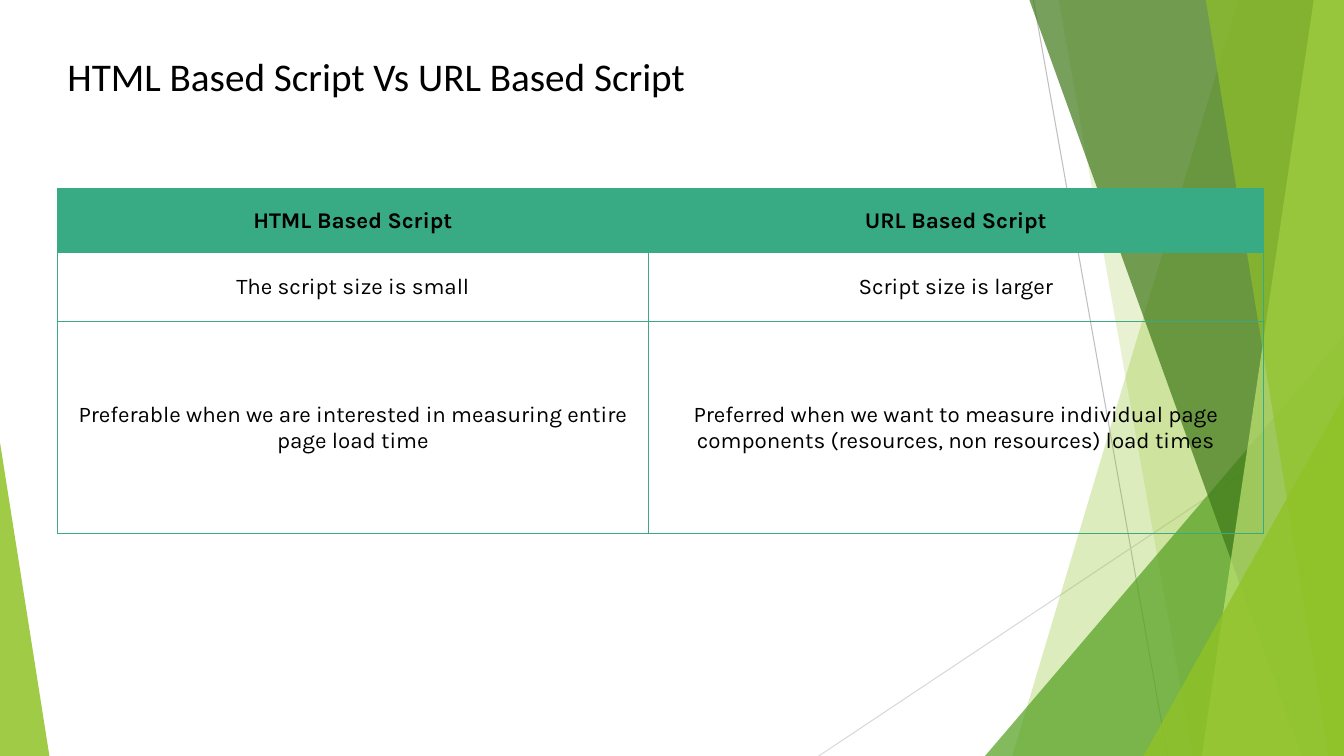
from lxml import etree
from pptx import Presentation
from pptx.dml.color import RGBColor
from pptx.enum.shapes import MSO_CONNECTOR, MSO_SHAPE
from pptx.enum.text import MSO_ANCHOR, PP_ALIGN
from pptx.oxml import parse_xml
from pptx.oxml.ns import nsdecls, qn
from pptx.util import Inches, Pt

WIDTH, HEIGHT = 13.33, 7.5
COLORS = {
    "black": "000000", "teal": "38AB85", "lime": "90C226", "green": "54A021",
    "forest": "3F7819", "pale": "C0E474", "grey": "BFBFBF", "silver": "D9D9D9",
}

TITLE = "HTML Based Script Vs URL Based Script"
COMPARISON = [
    ("HTML Based Script", "URL Based Script"),
    ("The script size is small", "Script size is larger"),
    ("Preferable when we are interested in measuring entire page load time",
     "Preferred when we want to measure individual page components "
     "(resources, non resources) load times"),
]
COLUMN_WIDTHS = (5.86, 6.1)
ROW_HEIGHTS = (0.63, 0.69, 2.1)
LEFT_MARGIN, TABLE_TOP = 0.57, 1.87

RAYS = [((10.25, 0), (11.58, HEIGHT), "grey"),
        ((WIDTH, 4.03), (8.12, HEIGHT), "silver")]
# Bands reach the right edge: x at the top, x at the bottom, colour, opacity %
# Triangles stand on the bottom edge: left, top, width, apex, colour, opacity %
FACETS = [
    ("band", (12.28, 10.04), "lime", 30),
    ("band", (10.5, 11.83), "lime", 20),
    ("triangle", (9.77, 3.33, 3.56, 1), "green", 72),
    ("band", (10.21, 12.91), "forest", 70),
    ("band", (13.03, 11.92), "pale", 70),
    ("band", (11.96, 13.18), "lime", 65),
    ("triangle", (11.34, 3.93, 1.99, 1), "lime", 80),
    ("triangle", (0, 4.39, 0.49, 0), "lime", 85),
]


def rgb(name):
    return RGBColor.from_string(COLORS[name])


def style_run(run, font, size, bold=False):
    run.font.name, run.font.size, run.font.bold = font, Pt(size), bold
    run.font.color.rgb = rgb("black")


def draw_ray(shapes, start, end, color):
    ray = shapes.add_connector(MSO_CONNECTOR.STRAIGHT,
                               *(Inches(v) for v in start + end))
    ray.line.color.rgb = rgb(color)
    ray.line.width = Pt(0.75)
    etree.SubElement(ray._element.spPr, qn("a:effectLst"))


def band(shapes, top_x, bottom_x):
    builder = shapes.build_freeform(Inches(top_x), 0)
    corners = [(WIDTH, 0), (WIDTH, HEIGHT), (bottom_x, HEIGHT)]
    builder.add_line_segments([(Inches(x), Inches(y)) for x, y in corners])
    return builder.convert_to_shape()


def triangle(shapes, left, top, width, apex):
    shape = shapes.add_shape(MSO_SHAPE.ISOSCELES_TRIANGLE, Inches(left),
                             Inches(top), Inches(width), Inches(HEIGHT - top))
    shape.adjustments[0] = apex
    return shape


def draw_facet(shapes, kind, geometry, color, opacity):
    facet = (band if kind == "band" else triangle)(shapes, *geometry)
    facet.shadow.inherit = False
    facet.line.fill.background()
    facet.fill.solid()
    facet.fill.fore_color.rgb = rgb(color)
    tint = facet._element.spPr.find(f"{qn('a:solidFill')}/{qn('a:srgbClr')}")
    etree.SubElement(tint, qn("a:alpha"), val=str(opacity * 1000))


def add_title(shapes):
    box = shapes.add_textbox(Inches(LEFT_MARGIN), Inches(0.52),
                             Inches(12.37), Inches(0.61))
    frame = box.text_frame
    frame.word_wrap = True
    frame.text = TITLE
    frame.paragraphs[0].line_spacing = 0.9
    style_run(frame.paragraphs[0].runs[0], "Calibri", 28)


def add_borders(cell):
    properties = cell._tc.get_or_add_tcPr()
    for side in ("lnL", "lnR", "lnT", "lnB"):
        properties.append(parse_xml(
            f'<a:{side} {nsdecls("a")} w="{Pt(1)}"><a:solidFill>'
            f'<a:srgbClr val="{COLORS["teal"]}"/></a:solidFill></a:{side}>'))


def fill_cell(cell, text, header):
    cell.margin_left = cell.margin_right = cell.margin_top = Inches(0.01)
    cell.margin_bottom = 0
    cell.vertical_anchor = MSO_ANCHOR.MIDDLE
    add_borders(cell)
    if header:
        cell.fill.solid()
        cell.fill.fore_color.rgb = rgb("teal")
    else:
        cell.fill.background()
    cell.text_frame.text = text
    paragraph = cell.text_frame.paragraphs[0]
    paragraph.alignment = PP_ALIGN.CENTER
    style_run(paragraph.runs[0], "Karla", 16, bold=header)


def add_comparison(shapes):
    table = shapes.add_table(
        len(ROW_HEIGHTS), len(COLUMN_WIDTHS), Inches(LEFT_MARGIN),
        Inches(TABLE_TOP), Inches(sum(COLUMN_WIDTHS)),
        Inches(sum(ROW_HEIGHTS))).table
    table.horz_banding = False
    for column, width in zip(table.columns, COLUMN_WIDTHS):
        column.width = Inches(width)
    for r, (height, texts) in enumerate(zip(ROW_HEIGHTS, COMPARISON)):
        table.rows[r].height = Inches(height)
        for c, text in enumerate(texts):
            fill_cell(table.cell(r, c), text, header=r == 0)


def main():
    deck = Presentation()
    deck.slide_width, deck.slide_height = Inches(WIDTH), Inches(HEIGHT)
    shapes = deck.slides.add_slide(deck.slide_layouts[6]).shapes
    for ray in RAYS:
        draw_ray(shapes, *ray)
    for facet in FACETS:
        draw_facet(shapes, *facet)
    add_title(shapes)
    add_comparison(shapes)
    deck.save("out.pptx")


if __name__ == "__main__":
    main()
